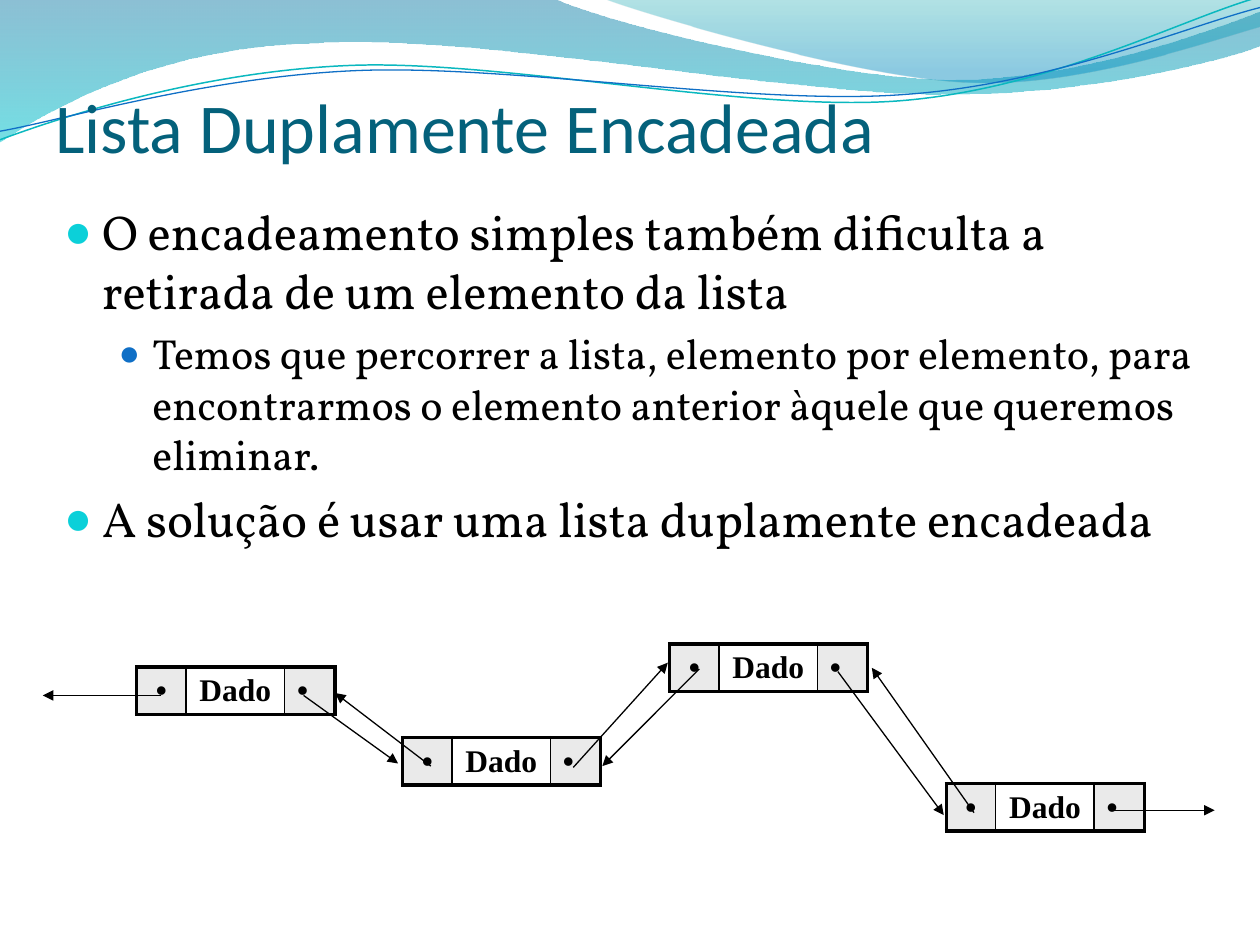
from lxml.etree import SubElement
from pptx import Presentation
from pptx.dml.color import RGBColor
from pptx.enum.shapes import MSO_CONNECTOR
from pptx.enum.text import MSO_ANCHOR, MSO_AUTO_SIZE, PP_ALIGN
from pptx.oxml import parse_xml
from pptx.oxml.ns import nsdecls, qn
from pptx.util import Pt

COLORS = {
    "black": "000000", "white": "FFFFFF", "pointer": "EAEAEA",
    "title": "04617B", "bullet": "0BD0D9", "sub_bullet": "0F6FC6",
    "teal_line": "0AB8BF", "blue_line": "0F6FC6",
    "deep_blue": "0074A1", "cyan": "00C6CF", "teal": "00A1A9", "sky": "008BBF",
}

# Each segment holds one end point (line) or three points (Bézier curve).
BANDS = [
    ((0, 0),
     [[(316.8, -0.7)],
      [(342.7, 12.2), (478.1, 45.4), (545.8, 45.4)],
      [(614.2, 45.4), (689.8, 18.7), (720, 6.5)],
      [(720.7, 25.9)],
      [(707.8, 31.7), (626.4, 54.7), (537.1, 54)],
      [(447.8, 54), (275, 20.2), (185, 24.5)],
      [(92.9, 25.9), (33.1, 59.8), (-0.7, 81.4)]],
     [("deep_blue", 0, 45), ("cyan", 100, 55)]),
    ((344.9, -0.7),
     [[(366.5, 7.9), (491, 44.6), (553.7, 46.8)],
      [(616.3, 49.7), (691.9, 23), (720, 15.1)],
      [(720, 0)]],
     [("teal", 0, 30), ("sky", 80, 45)]),
]
STRANDS = [
    ((-1.4, 62.9),
     [[(33.8, 51.7), (114.1, 29.4), (199.8, 29.9)],
      [(284.9, 30.3), (425.8, 67.3), (512.4, 64.9)],
      [(599, 62.4), (676.5, 25.7), (720.2, 15.6)]],
     "teal_line", 0.85),
    ((-1.1, 58),
     [[(32.9, 53.8), (118.3, 32.5), (204.1, 33)],
      [(290.6, 33.4), (429.7, 63.8), (515.5, 61.4)],
      [(601.3, 59.6), (678.5, 30.1), (721.4, 21.3)]],
     "blue_line", 0.75),
]
STRAND_TILT = 357.3

# Level, text, size, space before, left indent, hanging, bullet colour, bullet %
POINTS = [
    (0, "O encadeamento simples também dificulta a retirada de um elemento da lista",
     28, 5.6, 21.6, 21.6, "bullet", 95),
    (1, "Temos que percorrer a lista, elemento por elemento, para encontrarmos "
        "o elemento anterior àquele que queremos eliminar.",
     24, 4.8, 50.4, 19.4, "sub_bullet", 85),
    (0, "A solução é usar uma lista duplamente encadeada",
     28, 5.6, 21.6, 21.6, "bullet", 95),
]

NODES = [(54.1, 13.2), (206, 53.5), (358.6, 0), (516.7, 79.8)]
NODE_COLUMNS = [
    ("•", 28.3, "pointer", PP_ALIGN.CENTER),
    ("Dado", 56.2, "white", PP_ALIGN.CENTER),
    ("•", 28.8, "pointer", PP_ALIGN.LEFT),
]
ROW_HEIGHT, NODE_HEIGHT = 18.7, 28.8
NEXT_LINKS = [
    ((149.5, 29.4), (203.5, 68.3)), ((303.6, 70.5), (357.6, 10.7)),
    ((454.8, 15.8), (515.3, 97.8)), ((611.8, 95), (670.1, 95)),
]
PREVIOUS_LINKS = [
    ((68.2, 29.4), (0.5, 29.4)), ((222.2, 69.8), (167.5, 28)),
    ((375.6, 14.3), (320.2, 69.8)), ((532.6, 96.4), (474.2, 13.6)),
]


def rgb(name):
    return RGBColor.from_string(COLORS[name])


def place(shape, box):
    shape.left, shape.top, shape.width, shape.height = (Pt(v) for v in box)


def add_outline(slide, box, start, segments, closed):
    """Freeform through all points, whose triples are then joined into curves."""
    first, *others = [(Pt(box[0] + x), Pt(box[1] + y))
                      for x, y in [start, *(p for s in segments for p in s)]]
    builder = slide.shapes.build_freeform(*first)
    builder.add_line_segments(others, close=closed)
    outline = builder.convert_to_shape()
    outline.shadow.inherit = False
    steps = iter(list(outline.element.spPr.iter(qn("a:lnTo"))))
    for segment in segments:
        lines = [next(steps) for _ in segment]
        if len(lines) == 3:
            curve = parse_xml(f'<a:cubicBezTo {nsdecls("a")}/>')
            lines[0].addprevious(curve)
            for line in lines:
                curve.append(line[0])
                line.getparent().remove(line)
    return outline


def add_waves(slide, box):
    waves = []
    for start, segments, stops in BANDS:
        band = add_outline(slide, box, start, segments, True)
        band.line.fill.background()
        band.fill.gradient()
        band.fill.gradient_angle = 270
        marks = band.element.spPr.iter(qn("a:gs"))
        for stop, mark, (color, position, opacity) in zip(
                band.fill.gradient_stops, marks, stops):
            stop.color.rgb = rgb(color)
            mark.set("pos", str(position * 1000))
            SubElement(mark[0], qn("a:alpha"), val=str(opacity * 1000))
        waves.append(band)
    for start, segments, color, width in STRANDS:
        strand = add_outline(slide, box, start, segments, False)
        strand.rotation = STRAND_TILT
        strand.fill.background()
        strand.line.color.rgb = rgb(color)
        strand.line.width = Pt(width)
        waves.append(strand)
    # The waves belong to the master, behind its placeholders
    backdrop = slide.slide_layout.slide_master.shapes[0].element
    for number, wave in enumerate(waves, 101):
        wave.element.nvSpPr.cNvPr.set("id", str(number))
        backdrop.addprevious(wave.element)


def set_font(paragraph, face, size, color, bold=False):
    font = paragraph.font
    font.name, font.size, font.bold = face, Pt(size), bold
    font.color.rgb = rgb(color)


def fill_title(title, box):
    place(title, box)
    frame = title.text_frame
    frame.text = "Lista Duplamente Encadeada"
    frame.auto_size = MSO_AUTO_SIZE.NONE
    frame.vertical_anchor = MSO_ANCHOR.BOTTOM
    frame.paragraphs[0].alignment = PP_ALIGN.LEFT
    set_font(frame.paragraphs[0], "Calibri", 40, "title")


def fill_points(body, box):
    place(body, box)
    frame = body.text_frame
    frame.text = "\n".join(point[1] for point in POINTS)
    frame.auto_size = MSO_AUTO_SIZE.NONE
    for paragraph, point in zip(frame.paragraphs, POINTS):
        level, _, size, gap, indent, hanging, color, percent = point
        paragraph.level = level
        props = paragraph._p.get_or_add_pPr()
        props.set("marL", str(Pt(indent)))
        props.set("indent", str(-Pt(hanging)))
        bullet_color = SubElement(props, qn("a:buClr"))
        SubElement(bullet_color, qn("a:srgbClr"), val=COLORS[color])
        SubElement(props, qn("a:buSzPct"), val=str(percent * 1000))
        SubElement(props, qn("a:buChar"), char="●")
        paragraph.space_before = Pt(gap)
        set_font(paragraph, "Vollkorn", size, "black")


def set_borders(cell, widths):
    props = cell._tc.get_or_add_tcPr()
    for index, (side, width) in enumerate(zip("LRTB", widths)):
        props.insert(index, parse_xml(
            f'<a:ln{side} {nsdecls("a")} w="{Pt(width)}"><a:solidFill>'
            f'<a:srgbClr val="{COLORS["black"]}"/></a:solidFill></a:ln{side}>'))


def add_node(slide, left, top):
    box = (left, top, sum(column[1] for column in NODE_COLUMNS), NODE_HEIGHT)
    holder = slide.shapes.add_table(1, len(NODE_COLUMNS), *(Pt(v) for v in box))
    node = holder.table
    node.rows[0].height = Pt(ROW_HEIGHT)
    node.first_row = node.horz_banding = False
    last = len(NODE_COLUMNS) - 1
    for index, (text, column_width, fill, alignment) in enumerate(NODE_COLUMNS):
        node.columns[index].width = Pt(column_width)
        cell = node.cell(0, index)
        cell.text = text
        cell.fill.solid()
        cell.fill.fore_color.rgb = rgb(fill)
        paragraph = cell.text_frame.paragraphs[0]
        paragraph.alignment = alignment
        set_font(paragraph, "Times New Roman", 18, "black", bold=True)
        set_borders(cell, (2.25 if index == 0 else 1, 2.25 if index == last else 1,
                           2.25, 2.25))
    place(holder, box)


def add_linked_list(slide, box):
    left, top = box[:2]
    for x, y in NODES:
        add_node(slide, left + x, top + y)
    for (x1, y1), (x2, y2) in NEXT_LINKS + PREVIOUS_LINKS:
        link = slide.shapes.add_connector(
            MSO_CONNECTOR.STRAIGHT, Pt(left + x1), Pt(top + y1),
            Pt(left + x2), Pt(top + y2))
        link.line.color.rgb = rgb("black")
        link.line.width = Pt(0.75)
        SubElement(link.line._get_or_add_ln(), qn("a:tailEnd"), type="triangle")
        SubElement(link.element.spPr, qn("a:effectLst"))


def main():
    deck = Presentation()
    deck.slide_width, deck.slide_height = Pt(720), Pt(540)
    slide = deck.slides.add_slide(deck.slide_layouts[1])
    title, body = slide.placeholders
    # Header waves
    add_waves(slide, (0, 0, 720, 82))
    # Text
    fill_title(title, (24.5, 9.4, 648, 90))
    fill_points(body, (29.5, 111.6, 675.4, 408.2))
    # Doubly linked list
    add_linked_list(slide, (24, 368, 671, 108))
    deck.save("out.pptx")


if __name__ == "__main__":
    main()
